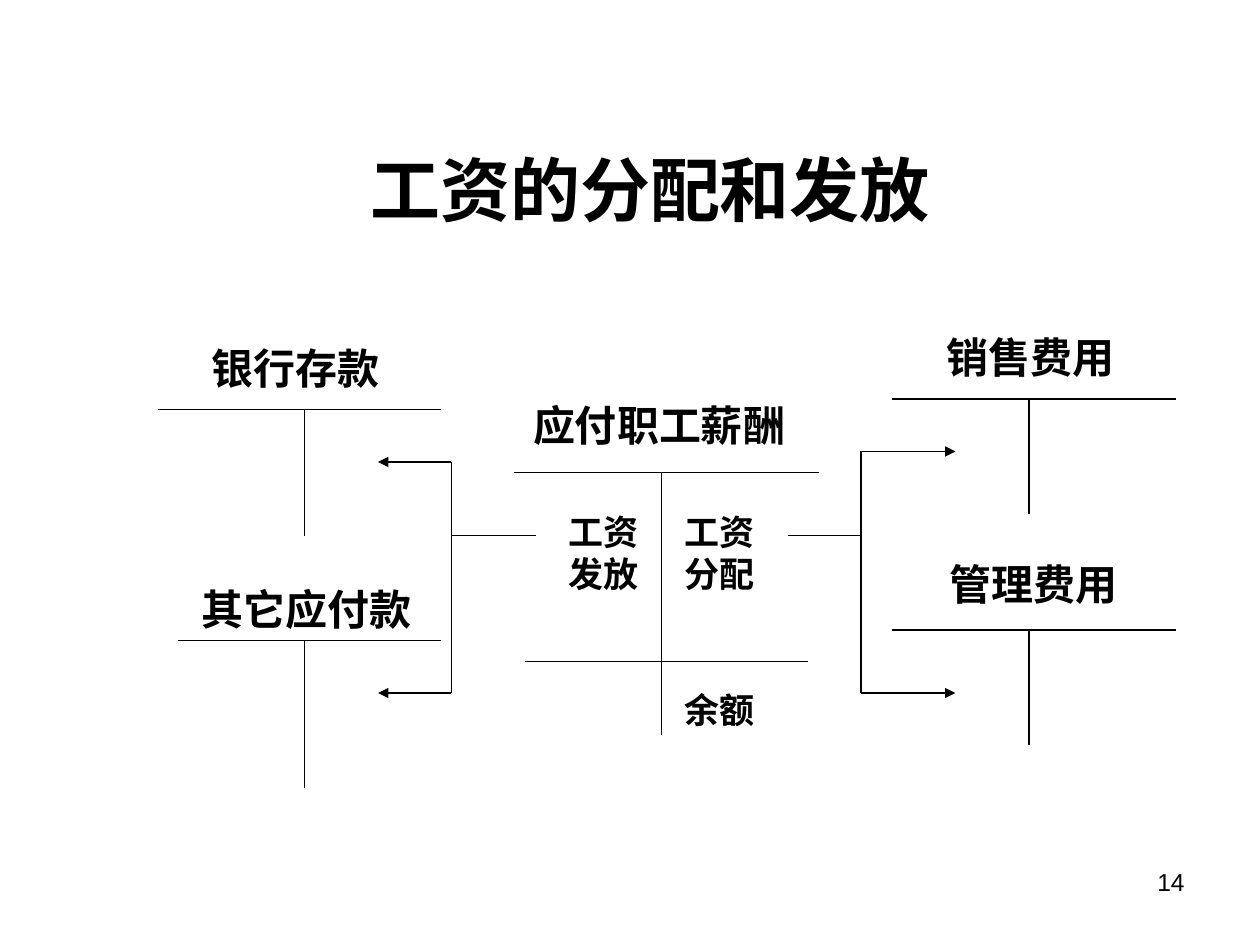
from dataclasses import dataclass

from lxml.etree import SubElement
from pptx import Presentation
from pptx.dml.color import RGBColor
from pptx.enum.shapes import MSO_CONNECTOR
from pptx.enum.text import MSO_ANCHOR, MSO_AUTO_SIZE, PP_ALIGN
from pptx.oxml.ns import qn
from pptx.slide import Slide
from pptx.text.text import TextFrame
from pptx.util import Pt

BLACK = "000000"
WHITE = "FFFFFF"
LINE_WIDTH = 0.75


@dataclass
class Account:
    left: float
    right: float
    top: float
    stem: float
    bottom: float


@dataclass
class Label:
    text: str
    left: float
    top: float
    width: float
    height: float
    size: float = 24
    font: str = "Times New Roman"
    bold: bool = True
    alignment: PP_ALIGN = PP_ALIGN.LEFT
    auto_size: MSO_AUTO_SIZE = MSO_AUTO_SIZE.SHAPE_TO_FIT_TEXT


@dataclass
class Branch:
    start: float
    trunk: float
    tip: float
    level: float
    targets: tuple[float, float]


TITLE = Label("工资的分配和发放", 198, 78, 347, 59, 40, "Arial", True,
              PP_ALIGN.CENTER, MSO_AUTO_SIZE.NONE)

ACCOUNTS = [
    Account(90, 252, 234, 174, 306),
    Account(102, 252, 366, 174, 450),
    Account(294, 468, 270, 378, 420),
    Account(510, 672, 228, 588, 294),
    Account(510, 672, 360, 588, 426),
]

LABELS = [
    Label("银行存款", 114, 192, 114, 36),
    Label("其它应付款", 108, 330, 138, 36),
    Label("应付职工薪酬", 297.5, 224.5, 170, 36),
    Label("销售费用", 534, 186, 114, 36),
    Label("管理费用", 535.5, 315.5, 114, 36),
    Label("工资发放", 318, 288, 60, 55.5, 20),
    Label("工资分配", 384, 288, 66, 55.5, 20),
    Label("余额", 384, 390, 90, 31.5, 20),
    Label("14", 516, 492, 168, 37.5, 14, "Arial", False, PP_ALIGN.RIGHT,
          MSO_AUTO_SIZE.NONE),
]

BRANCHES = [
    Branch(306, 258, 216, 306, (264, 396)),
    Branch(450, 492, 546, 306, (258, 396)),
]


def color(value: str) -> RGBColor:
    return RGBColor.from_string(value)


def write_text(text_frame: TextFrame, label: Label) -> None:
    text_frame.text = label.text
    text_frame.word_wrap = True
    text_frame.auto_size = label.auto_size
    paragraph = text_frame.paragraphs[0]
    paragraph.alignment = label.alignment
    font = paragraph.runs[0].font
    font.name = label.font
    font.size = Pt(label.size)
    font.bold = label.bold
    font.color.rgb = color(BLACK)


def add_title(slide: Slide, label: Label) -> None:
    shape = slide.shapes.title
    shape.left, shape.top = Pt(label.left), Pt(label.top)
    shape.width, shape.height = Pt(label.width), Pt(label.height)
    shape.fill.solid()
    shape.fill.fore_color.rgb = color(WHITE)
    shape.line.color.rgb = color(WHITE)
    shape.line.width = Pt(LINE_WIDTH)
    write_text(shape.text_frame, label)
    shape.text_frame.vertical_anchor = MSO_ANCHOR.MIDDLE


def add_label(slide: Slide, label: Label) -> None:
    shape = slide.shapes.add_textbox(
        Pt(label.left), Pt(label.top), Pt(label.width), Pt(label.height))
    write_text(shape.text_frame, label)


def add_line(slide: Slide, start_x: float, start_y: float, end_x: float,
             end_y: float, arrow: bool = False) -> None:
    connector = slide.shapes.add_connector(
        MSO_CONNECTOR.STRAIGHT, Pt(start_x), Pt(start_y), Pt(end_x), Pt(end_y))
    connector.line.color.rgb = color(BLACK)
    connector.line.width = Pt(LINE_WIDTH)
    properties = connector.element.spPr
    if arrow:
        SubElement(properties.find(qn("a:ln")), qn("a:tailEnd"), type="triangle")
    SubElement(properties, qn("a:effectLst"))


def add_account(slide: Slide, account: Account) -> None:
    add_line(slide, account.left, account.top, account.right, account.top)
    add_line(slide, account.stem, account.top, account.stem, account.bottom)


def add_branch(slide: Slide, branch: Branch) -> None:
    add_line(slide, branch.start, branch.level, branch.trunk, branch.level)
    for target in branch.targets:
        add_line(slide, branch.trunk, branch.level, branch.trunk, target)
        add_line(slide, branch.trunk, target, branch.tip, target, arrow=True)


def main() -> None:
    presentation = Presentation()
    presentation.slide_width = Pt(720)
    presentation.slide_height = Pt(540)
    slide = presentation.slides.add_slide(presentation.slide_layouts[5])
    slide.background.fill.solid()
    slide.background.fill.fore_color.rgb = color(WHITE)
    add_title(slide, TITLE)
    for account in ACCOUNTS:
        add_account(slide, account)
    add_line(slide, 300, 378, 462, 378)
    for branch in BRANCHES:
        add_branch(slide, branch)
    for label in LABELS:
        add_label(slide, label)
    presentation.save("out.pptx")


if __name__ == "__main__":
    main()
